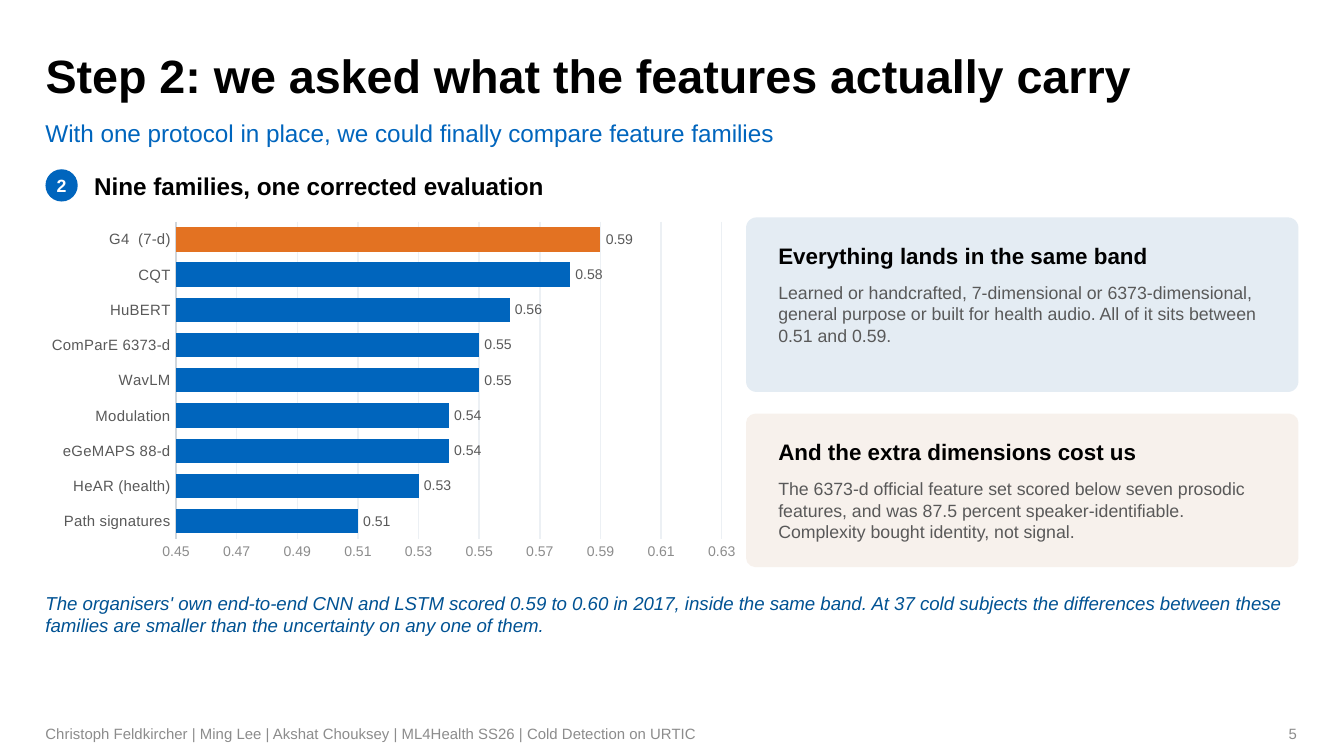
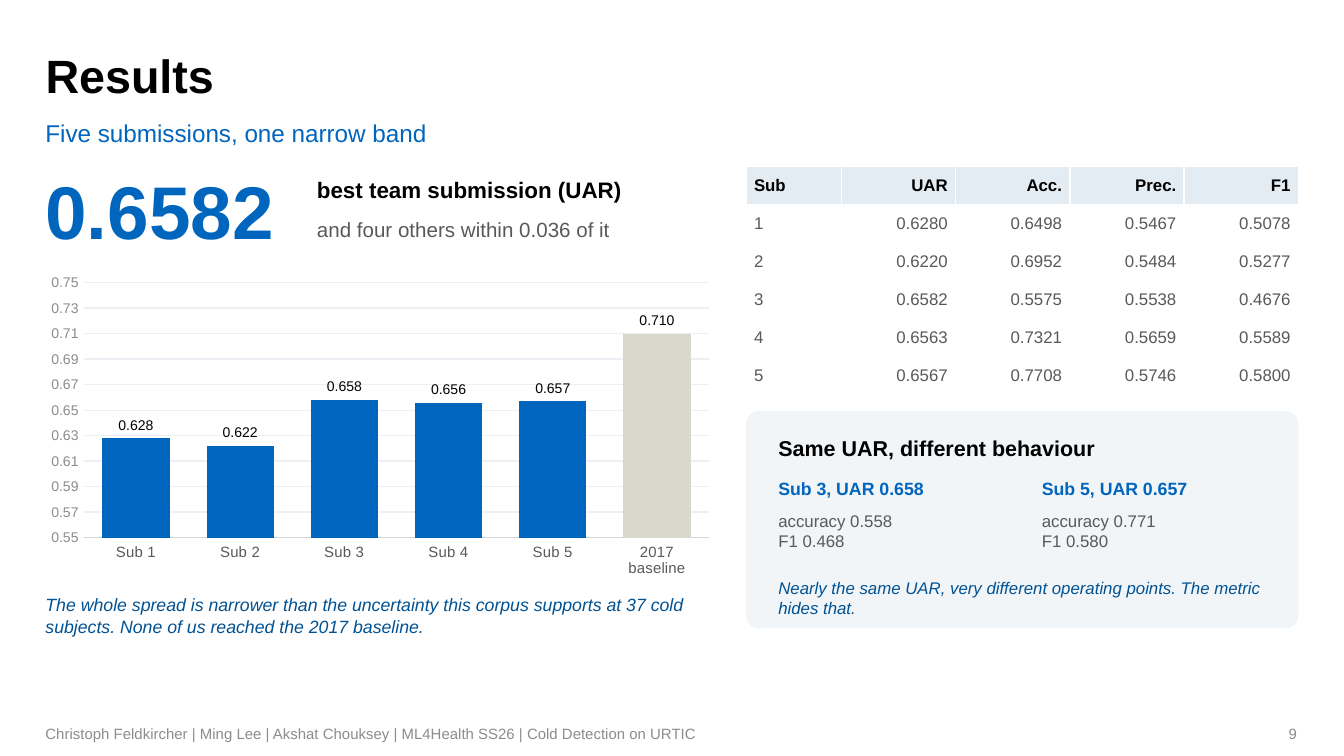
from pptx import Presentation
from pptx.chart.data import CategoryChartData
from pptx.dml.color import RGBColor
from pptx.enum.chart import XL_CHART_TYPE as Chart
from pptx.enum.chart import XL_LABEL_POSITION as LabelPos
from pptx.enum.chart import XL_TICK_MARK as Tick
from pptx.enum.shapes import MSO_SHAPE as Shape
from pptx.enum.text import MSO_ANCHOR as Anchor
from pptx.enum.text import PP_ALIGN as Align
from pptx.util import Cm, Pt

# Shared look
FONT = "Arial"
BLACK = RGBColor(0x00, 0x00, 0x00)
WHITE = RGBColor(0xFF, 0xFF, 0xFF)
BLUE = RGBColor(0x00, 0x65, 0xBD)
DARK_BLUE = RGBColor(0x00, 0x52, 0x93)
ORANGE = RGBColor(0xE3, 0x72, 0x22)
STONE = RGBColor(0xDA, 0xD7, 0xCB)
GREY = RGBColor(0x59, 0x59, 0x59)
LIGHT_GREY = RGBColor(0x8C, 0x8C, 0x8C)
AXIS = RGBColor(0xD0, 0xD6, 0xDC)
GRID = RGBColor(0xEC, 0xF0, 0xF4)
PALE_BLUE = RGBColor(0xE4, 0xEC, 0xF3)
PALE_SAND = RGBColor(0xF7, 0xF1, 0xEC)
PALE_GREY = RGBColor(0xF2, 0xF5, 0xF8)

LEFT, WIDTH = 0.86, 23.65
CHART_LEFT = 0.71
CARD_LEFT, CARD_WIDTH = 14.1, 10.44
CARD_PAD_X, CARD_PAD_Y = 0.61, 0.46
CARD_TEXT_LEFT = CARD_LEFT + CARD_PAD_X
CARD_TEXT_WIDTH = 9.4
FOOTER = ("Christoph Feldkircher | Ming Lee | Akshat Chouksey | "
          "ML4Health SS26 | Cold Detection on URTIC")

# Content: features slide
FEATURES = {
    "title": "Step 2: we asked what the features actually carry",
    "subtitle": "With one protocol in place, we could finally compare feature families",
    "number": "5",
    "step": "2",
    "heading": "Nine families, one corrected evaluation",
    "scores": [
        ("Path signatures", 0.51),
        ("HeAR (health)", 0.53),
        ("eGeMAPS 88-d", 0.54),
        ("Modulation", 0.54),
        ("WavLM", 0.55),
        ("ComParE 6373-d", 0.55),
        ("HuBERT", 0.56),
        ("CQT", 0.58),
        ("G4  (7-d)", 0.59),
    ],
    # top, height, fill, heading, body
    "cards": [
        (4.11, 3.3, PALE_BLUE, "Everything lands in the same band",
         "Learned or handcrafted, 7-dimensional or 6373-dimensional, general purpose "
         "or built for health audio. All of it sits between 0.51 and 0.59."),
        (7.82, 2.9, PALE_SAND, "And the extra dimensions cost us",
         "The 6373-d official feature set scored below seven prosodic features, and was "
         "87.5 percent speaker-identifiable. Complexity bought identity, not signal."),
    ],
    "takeaway": "The organisers' own end-to-end CNN and LSTM scored 0.59 to 0.60 in 2017, "
                "inside the same band. At 37 cold subjects the differences between these "
                "families are smaller than the uncertainty on any one of them.",
}

# Content: results slide
RESULTS = {
    "title": "Results",
    "subtitle": "Five submissions, one narrow band",
    "number": "9",
    "best": "0.6582",
    "best_label": "best team submission (UAR)",
    "best_note": "and four others within 0.036 of it",
    "scores": [
        ("Sub 1", 0.628),
        ("Sub 2", 0.622),
        ("Sub 3", 0.658),
        ("Sub 4", 0.656),
        ("Sub 5", 0.657),
        ("2017\nbaseline", 0.710),
    ],
    "takeaway": "The whole spread is narrower than the uncertainty this corpus supports at "
                "37 cold subjects. None of us reached the 2017 baseline.",
    "metrics": [
        ("Sub", "UAR", "Acc.", "Prec.", "F1"),
        ("1", "0.6280", "0.6498", "0.5467", "0.5078"),
        ("2", "0.6220", "0.6952", "0.5484", "0.5277"),
        ("3", "0.6582", "0.5575", "0.5538", "0.4676"),
        ("4", "0.6563", "0.7321", "0.5659", "0.5589"),
        ("5", "0.6567", "0.7708", "0.5746", "0.5800"),
    ],
    "card_heading": "Same UAR, different behaviour",
    "compared": [
        ("Sub 3, UAR 0.658", "accuracy 0.558\nF1 0.468"),
        ("Sub 5, UAR 0.657", "accuracy 0.771\nF1 0.580"),
    ],
    "card_note": "Nearly the same UAR, very different operating points. "
                 "The metric hides that.",
}


def set_font(font, size, color, bold=False, italic=False):
    font.name, font.size = FONT, Pt(size)
    font.bold, font.italic = bold, italic
    font.color.rgb = color


def write(frame, text, size=9.5, color=GREY, bold=False, italic=False,
          align=Align.LEFT, anchor=Anchor.TOP, leading=None, inset_top=0):
    """Fill a text frame, one paragraph per line of text."""
    frame.word_wrap = True
    frame.vertical_anchor = anchor
    frame.margin_left = frame.margin_right = frame.margin_bottom = 0
    frame.margin_top = Cm(inset_top)
    for i, line in enumerate(text.split("\n")):
        paragraph = frame.add_paragraph() if i else frame.paragraphs[0]
        paragraph.alignment = align
        if leading:
            paragraph.line_spacing = Pt(leading)
        run = paragraph.add_run()
        run.text = line
        set_font(run.font, size, color, bold, italic)


def add_text(slide, left, top, width, height, text, **fmt):
    box = slide.shapes.add_textbox(Cm(left), Cm(top), Cm(width), Cm(height))
    write(box.text_frame, text, **fmt)


def add_filled(slide, kind, left, top, width, height, fill):
    shape = slide.shapes.add_shape(kind, Cm(left), Cm(top), Cm(width), Cm(height))
    shape.shadow.inherit = False
    shape.fill.solid()
    shape.fill.fore_color.rgb = fill
    shape.line.fill.background()
    return shape


def add_card(slide, top, height, fill, heading, size=12):
    card = add_filled(slide, Shape.ROUNDED_RECTANGLE, CARD_LEFT, top,
                      CARD_WIDTH, height, fill)
    card.adjustments[0] = 0.06
    add_text(slide, CARD_TEXT_LEFT, top + CARD_PAD_Y, CARD_TEXT_WIDTH, 0.6,
             heading, size=size, color=BLACK, bold=True)


def add_bars(slide, kind, top, width, height, scores, low, high, gap,
             accent, label_format, label_color):
    """Draw a one-series bar chart whose last bar has the accent colour."""
    data = CategoryChartData()
    data.categories = [name for name, _ in scores]
    data.add_series("Series 1", [score for _, score in scores])
    chart = slide.shapes.add_chart(kind, Cm(CHART_LEFT), Cm(top), Cm(width),
                                   Cm(height), data).chart
    chart.has_legend = chart.has_title = False
    set_font(chart.font, 8, BLACK)

    names, values = chart.category_axis, chart.value_axis
    for axis, size, color in ((names, 8, GREY), (values, 7.5, LIGHT_GREY)):
        axis.major_tick_mark = axis.minor_tick_mark = Tick.NONE
        set_font(axis.tick_labels.font, size, color)
    names.has_major_gridlines = False
    values.has_major_gridlines = True
    for line, color in ((names.format.line, AXIS),
                        (values.major_gridlines.format.line, GRID)):
        line.color.rgb = color
        line.width = Pt(0.75)
    values.format.line.fill.background()
    values.minimum_scale, values.maximum_scale = low, high
    values.major_unit = 0.02
    values.tick_labels.number_format = "0.00"
    values.tick_labels.number_format_is_linked = False

    plot = chart.plots[0]
    plot.gap_width = gap
    plot.vary_by_categories = False
    series = plot.series[0]
    series.invert_if_negative = False
    for part, color in ((series, BLUE), (series.points[len(scores) - 1], accent)):
        part.format.fill.solid()
        part.format.fill.fore_color.rgb = color
    labels = series.data_labels
    labels.show_value = True
    labels.position = LabelPos.OUTSIDE_END
    labels.number_format = label_format
    labels.number_format_is_linked = False
    set_font(labels.font, 7.5, label_color)


def add_metrics(slide, top, rows, row_height=0.72, first_width=1.8, width=2.16):
    table = slide.shapes.add_table(
        len(rows), len(rows[0]), Cm(CARD_LEFT), Cm(top), Cm(CARD_WIDTH),
        Cm(row_height * len(rows))).table
    table.horz_banding = False
    for c, column in enumerate(table.columns):
        column.width = Cm(width if c else first_width)
    for r, row in enumerate(rows):
        table.rows[r].height = Cm(row_height)
        for c, value in enumerate(row):
            cell = table.cell(r, c)
            cell.fill.solid()
            cell.fill.fore_color.rgb = WHITE if r else PALE_BLUE
            write(cell.text_frame, value, size=9, color=GREY if r else BLACK,
                  bold=r == 0, align=Align.RIGHT if c else Align.LEFT)
            cell.vertical_anchor = Anchor.MIDDLE
            cell.margin_left = cell.margin_right = Cm(0.15)
            cell.margin_top = cell.margin_bottom = Cm(0.03)


def add_slide(prs, content):
    """Start a slide with its title, subtitle and footer."""
    slide = prs.slides.add_slide(prs.slide_layouts[5])
    title = slide.shapes.title
    title.left, title.top = Cm(LEFT), Cm(0.81)
    title.width, title.height = Cm(WIDTH), Cm(1.07)
    write(title.text_frame, content["title"], size=25, color=BLACK, bold=True,
          leading=32)
    add_text(slide, LEFT, 1.9, WIDTH, 0.89, content["subtitle"], size=13,
             color=BLUE, leading=18, inset_top=0.25)
    small = dict(size=8, color=LIGHT_GREY, anchor=Anchor.MIDDLE)
    add_text(slide, LEFT, 13.49, 17.96, 0.76, FOOTER, **small)
    add_text(slide, 18.82, 13.49, 5.69, 0.76, content["number"],
             align=Align.RIGHT, **small)
    return slide


def build_features(prs):
    slide = add_slide(prs, FEATURES)
    # Numbered heading
    badge = add_filled(slide, Shape.OVAL, LEFT, 3.2, 0.61, 0.61, BLUE)
    write(badge.text_frame, FEATURES["step"], color=WHITE, bold=True,
          align=Align.CENTER, anchor=Anchor.MIDDLE)
    add_text(slide, 1.78, 3.2, 12.7, 0.61, FEATURES["heading"], size=13,
             color=BLACK, bold=True, anchor=Anchor.MIDDLE)
    # Chart and cards
    add_bars(slide, Chart.BAR_CLUSTERED, 4.06, 13.46, 6.65, FEATURES["scores"],
             0.45, 0.63, 45, ORANGE, "0.00", GREY)
    for top, height, fill, heading, body in FEATURES["cards"]:
        add_card(slide, top, height, fill, heading)
        add_text(slide, CARD_TEXT_LEFT, top + 1.22, CARD_TEXT_WIDTH,
                 height - 1.5, body)
    # Takeaway
    add_text(slide, LEFT, 11.18, WIDTH, 1.22, FEATURES["takeaway"], size=10,
             color=DARK_BLUE, italic=True)


def build_results(prs):
    slide = add_slide(prs, RESULTS)
    # Best score
    middle = dict(anchor=Anchor.MIDDLE)
    add_text(slide, LEFT, 3.05, 4.83, 1.83, RESULTS["best"], size=40,
             color=BLUE, bold=True, **middle)
    add_text(slide, 5.99, 3.25, 7.87, 0.66, RESULTS["best_label"], size=12,
             color=BLACK, bold=True, **middle)
    add_text(slide, 5.99, 4.01, 7.87, 0.66, RESULTS["best_note"], size=11, **middle)
    # Chart with takeaway, and table
    add_bars(slide, Chart.COLUMN_CLUSTERED, 5.08, 12.95, 5.94, RESULTS["scores"],
             0.55, 0.75, 55, STONE, "0.000", BLACK)
    add_text(slide, LEFT, 11.23, 12.7, 1.12, RESULTS["takeaway"],
             color=DARK_BLUE, italic=True)
    add_metrics(slide, 3.15, RESULTS["metrics"])
    # Comparison card
    add_card(slide, 7.77, 4.11, PALE_GREY, RESULTS["card_heading"], size=11.5)
    for i, (name, figures) in enumerate(RESULTS["compared"]):
        left = CARD_TEXT_LEFT + i * 4.98
        add_text(slide, left, 9.04, 4.57, 0.56, name, color=BLUE, bold=True)
        add_text(slide, left, 9.65, 4.57, 1.07, figures, size=9)
    add_text(slide, CARD_TEXT_LEFT, 10.92, CARD_TEXT_WIDTH, 0.76,
             RESULTS["card_note"], size=9, color=DARK_BLUE, italic=True)


def main():
    prs = Presentation()
    prs.slide_width, prs.slide_height = Cm(25.4), Cm(14.29)
    build_features(prs)
    build_results(prs)
    prs.save("out.pptx")


if __name__ == "__main__":
    main()
